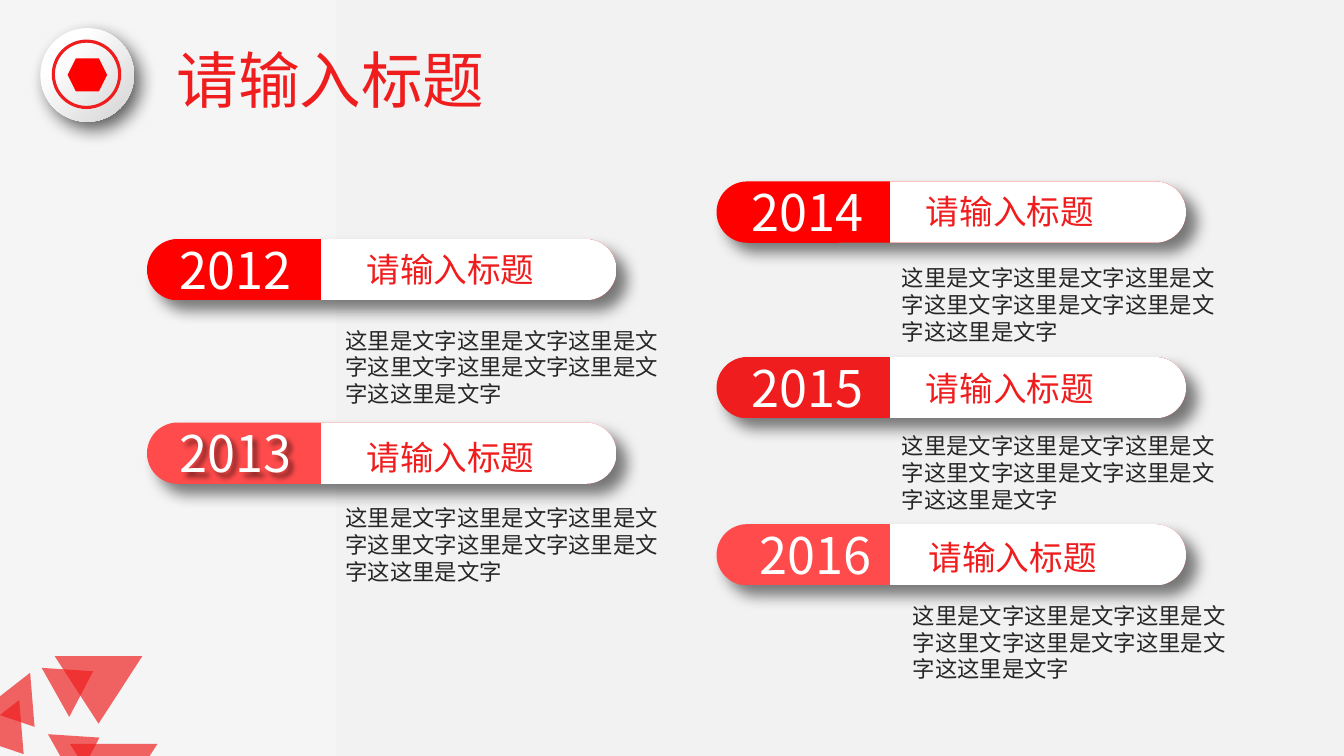
from dataclasses import dataclass

from lxml import etree
from pptx import Presentation
from pptx import util as u
from pptx.dml.color import RGBColor
from pptx.enum import shapes, text
from pptx.oxml import ns

COLUMNS, ROWS = 32, 18
FONT = "Noto Sans CJK SC"
HEADING = "请输入标题"
BODY = "这里是文字这里是文字这里是文字这里文字这里是文字这里是文字这这里是文字"
COLORS = {
    "red": "FF0000",
    "crimson": "EF1D1D",
    "coral": "FF4B4B",
    "white": "FFFFFF",
    "silver": "D6D4D4",
    "mist": "F5F5F5",
    "page": "F2F2F2",
    "ink": "262626",
    "black": "000000",
}


@dataclass(frozen=True)
class Area:
    left: float
    top: float
    width: float
    height: float


@dataclass(frozen=True)
class Shadow:
    alpha: int
    blur: float
    distance: float
    angle: int


@dataclass(frozen=True)
class Milestone:
    year: str
    color: str
    left: float
    top: float
    year_dx: float
    heading_dx: float
    heading_dy: float
    body_dx: float
    body_dy: float
    year_shadow: bool = False


@dataclass(frozen=True)
class Triangle:
    area: Area
    rotation: float


BADGE_SHADOW = Shadow(61, 13, 7, 50)
PILL_SHADOW = Shadow(51, 11, 10, 45)

MILESTONES = [
    Milestone("2014", "red", 17.06, 4.32, 0.6, 4.73, 0.1, 4.18, 1.85),
    Milestone("2015", "crimson", 17.06, 8.5, 0.6, 4.73, 0.14, 4.18, 1.68),
    Milestone("2016", "coral", 17.06, 12.48, 0.79, 4.8, 0.19, 4.44, 1.73),
    Milestone("2012", "red", 3.5, 5.69, 0.55, 4.97, 0.12, 4.49, 1.97),
    Milestone("2013", "coral", 3.5, 10.06, 0.55, 4.97, 0.22, 4.49, 1.82, True),
]

TRIANGLES = [
    Triangle(Area(-0.22, 16.34, 1.42, 1.08), 142),
    Triangle(Area(1.25, 17.3, 1.34, 1.03), 60.7),
    Triangle(Area(1.3, 15.62, 2.09, 1.61), 180),
    Triangle(Area(-0.48, 16.99, 1.42, 1.08), 142),
    Triangle(Area(1.1, 15.72, 1.34, 1.03), 60.7),
    Triangle(Area(1.66, 17.71, 2.09, 1.61), 180),
]

deck = Presentation()
deck.slide_width = u.Inches(13.33)
deck.slide_height = u.Inches(7.5)
page = deck.slides.add_slide(deck.slide_layouts[6])


def rgb(color: str) -> RGBColor:
    return RGBColor.from_string(COLORS[color])


def place(area: Area) -> tuple[int, int, int, int]:
    column, row = deck.slide_width / COLUMNS, deck.slide_height / ROWS
    return (round(area.left * column), round(area.top * row),
            round(area.width * column), round(area.height * row))


def paint_gradient(fill, stops: list[tuple[float, str]], angle: float = 0) -> None:
    fill.gradient()
    fill.gradient_angle = angle
    for stop, (position, color) in zip(fill.gradient_stops, stops):
        stop.position = position
        stop.color.rgb = rgb(color)


def cast_shadow(shape, shadow: Shadow) -> None:
    shape.shadow.inherit = False
    effects = shape._element.spPr.find(ns.qn("a:effectLst"))
    outer = etree.SubElement(
        effects, ns.qn("a:outerShdw"), blurRad=str(u.Pt(shadow.blur)),
        dist=str(u.Pt(shadow.distance)), dir=str(shadow.angle * 60000),
        algn="tl", rotWithShape="0")
    color = etree.SubElement(outer, ns.qn("a:srgbClr"), val=COLORS["black"])
    etree.SubElement(color, ns.qn("a:alpha"), val=str(shadow.alpha * 1000))


def add_figure(kind: shapes.MSO_SHAPE, area: Area, color: str | None = None):
    figure = page.shapes.add_shape(kind, *place(area))
    figure.shadow.inherit = False
    figure.line.fill.background()
    if color:
        figure.fill.solid()
        figure.fill.fore_color.rgb = rgb(color)
    else:
        figure.fill.background()
    return figure


def add_text(words: str, area: Area, size: int, color: str,
             centered: bool = False, wrap: bool = True):
    box = page.shapes.add_textbox(*place(area))
    box.text_frame.word_wrap = wrap
    box.text_frame.auto_size = text.MSO_AUTO_SIZE.SHAPE_TO_FIT_TEXT
    para = box.text_frame.paragraphs[0]
    para.text = words
    para.alignment = text.PP_ALIGN.CENTER if centered else text.PP_ALIGN.LEFT
    para.font.size = u.Pt(size)
    para.font.name = FONT
    para.font.color.rgb = rgb(color)
    etree.SubElement(para.font._element, ns.qn("a:ea"), typeface=FONT)
    return box


def add_header() -> None:
    badge = add_figure(shapes.MSO_SHAPE.OVAL, Area(0.96, 0.67, 2.23, 2.23))
    paint_gradient(badge.fill, [(0.26, "white"), (0.98, "silver")], 315)
    cast_shadow(badge, BADGE_SHADOW)
    ring = add_figure(shapes.MSO_SHAPE.OVAL, Area(1.27, 0.98, 1.58, 1.58))
    ring.line.color.rgb = rgb("crimson")
    ring.line.width = u.Pt(2.25)
    add_text(HEADING, Area(3.17, 0.89, 9.41, 2.02), 44, "crimson", centered=True)
    add_figure(shapes.MSO_SHAPE.HEXAGON, Area(1.61, 1.39, 0.94, 0.79), "red")


def add_milestone(item: Milestone) -> None:
    pill = add_figure(shapes.MSO_SHAPE.ROUNDED_RECTANGLE,
                      Area(item.left, item.top, 11.18, 1.46))
    pill.adjustments[0] = 0.5
    paint_gradient(pill.fill, [(0.37, item.color), (0.37, "white")])
    cast_shadow(pill, PILL_SHADOW)
    year = add_text(item.year, Area(item.left + item.year_dx, item.top - 0.12, 3.82, 1.7),
                    36, "white")
    if item.year_shadow:
        cast_shadow(year, Shadow(50, 4, 4, 45))
    add_text(HEADING, Area(item.left + item.heading_dx, item.top + item.heading_dy, 4.51, 1.2),
             24, "crimson", centered=True, wrap=False)
    add_text(BODY, Area(item.left + item.body_dx, item.top + item.body_dy, 8.09, 2.18),
             16, "ink")


def add_triangle(item: Triangle) -> None:
    triangle = add_figure(shapes.MSO_SHAPE.ISOSCELES_TRIANGLE, item.area, "crimson")
    triangle.rotation = item.rotation
    color = triangle._element.spPr.find(f".//{ns.qn('a:srgbClr')}")
    etree.SubElement(color, ns.qn("a:alpha"), val="68000")


def main() -> None:
    paint_gradient(page.background.fill, [(0, "mist"), (0.5, "page")])
    add_header()
    for milestone in MILESTONES:
        add_milestone(milestone)
    for triangle in TRIANGLES:
        add_triangle(triangle)
    deck.save("out.pptx")


if __name__ == "__main__":
    main()
